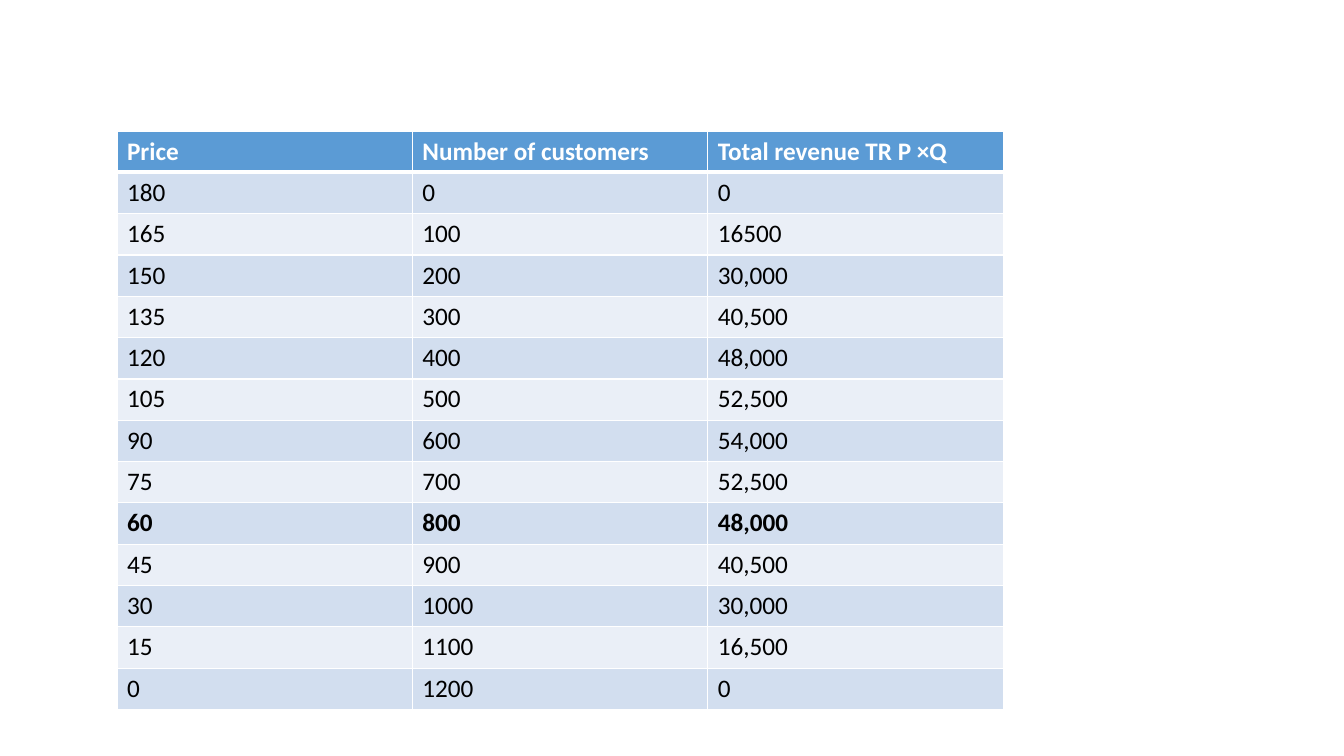
from lxml import etree
from pptx import Presentation
from pptx.dml.color import RGBColor
from pptx.oxml.ns import qn
from pptx.util import Inches, Pt

WIDE, HIGH = 13.33, 7.5
LEFT, TOP = 1.16, 1.3
COL, ROW = 2.93, 0.41
FONT = "Calibri"
HEX = {"head": "5B9BD5", "odd": "D2DEEF", "even": "EAEFF7",
       "line": "FFFFFF", "light": "FFFFFF", "dark": "000000"}
HEADS = ["Price", "Number of customers", "Total revenue TR P ×Q"]
SALES = [
    ("180", "0", "0"),
    ("165", "100", "16500"),
    ("150", "200", "30,000"),
    ("135", "300", "40,500"),
    ("120", "400", "48,000"),
    ("105", "500", "52,500"),
    ("90", "600", "54,000"),
    ("75", "700", "52,500"),
    ("60", "800", "48,000"),
    ("45", "900", "40,500"),
    ("30", "1000", "30,000"),
    ("15", "1100", "16,500"),
    ("0", "1200", "0"),
]
BOLD = ("60", "800", "48,000")


def write(frame, text, size=18, color="dark", bold=False):
    run = frame.paragraphs[0].add_run()
    run.text = text
    font = run.font
    font.name, font.size, font.bold = FONT, Pt(size), bold
    font.color.rgb = RGBColor.from_string(HEX[color])


def edge(cell, side, width):
    props = cell._tc.get_or_add_tcPr()
    line = etree.SubElement(props, qn(f"a:ln{side}"), w=str(Pt(width)))
    fill = etree.SubElement(line, qn("a:solidFill"))
    etree.SubElement(fill, qn("a:srgbClr"), val=HEX["line"])


def style(cell, fill, top=1, base=1):
    for side, width in zip("LRTB", (1, 1, top, base)):
        edge(cell, side, width)
    cell.fill.solid()
    cell.fill.fore_color.rgb = RGBColor.from_string(HEX[fill])


def grid(slide, rows):
    count, span = len(rows), len(rows[0])
    table = slide.shapes.add_table(
        count, span, Inches(LEFT), Inches(TOP),
        Inches(COL * span), Inches(ROW * count)).table
    for col in table.columns:
        col.width = Inches(COL)
    for r, row in enumerate(rows):
        table.rows[r].height = Inches(ROW)
        head = r == 0
        fill = "head" if head else "odd" if r % 2 else "even"
        for c, text in enumerate(row):
            cell = table.cell(r, c)
            style(cell, fill, top=3 if r == 1 else 1, base=3 if head else 1)
            write(cell.text_frame, text, color="light" if head else "dark",
                  bold=head or row == BOLD)


def main():
    deck = Presentation()
    deck.slide_width, deck.slide_height = Inches(WIDE), Inches(HIGH)
    slide = deck.slides.add_slide(deck.slide_layouts[6])
    grid(slide, [HEADS, *SALES])
    deck.save("out.pptx")


if __name__ == "__main__":
    main()
